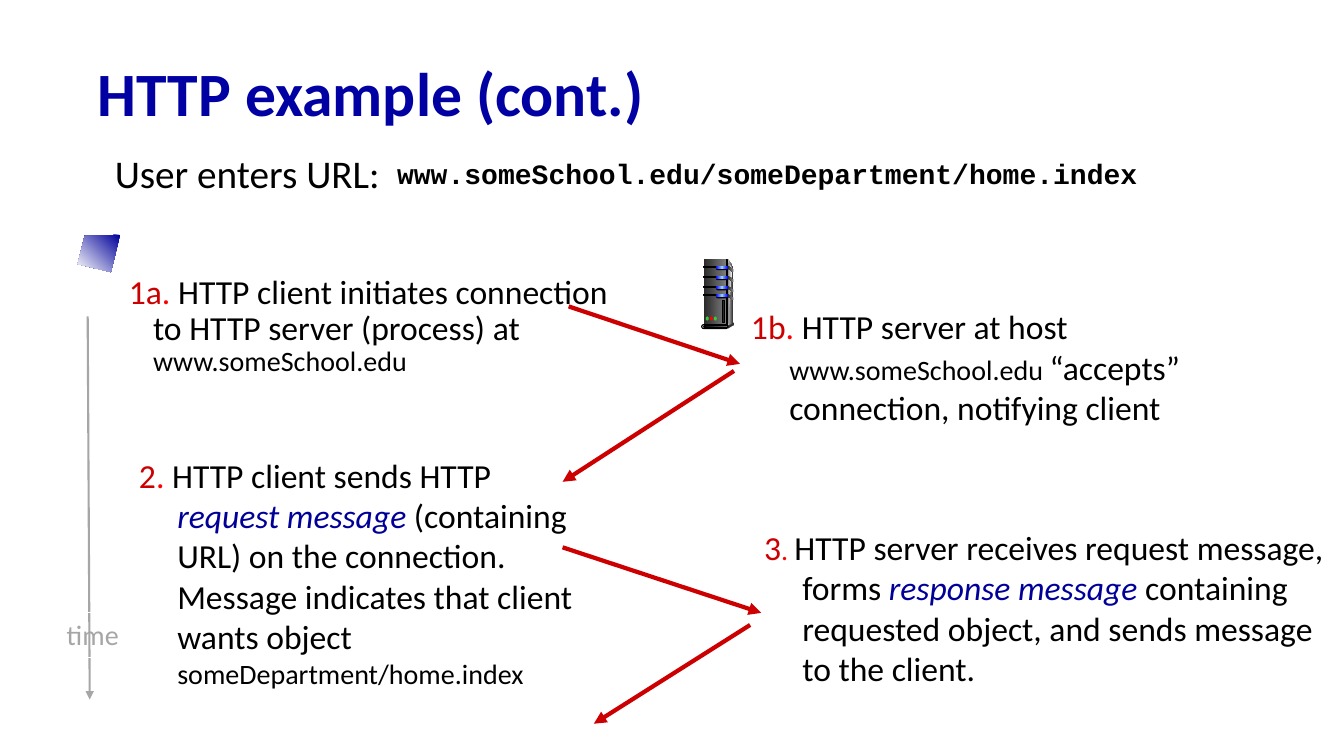
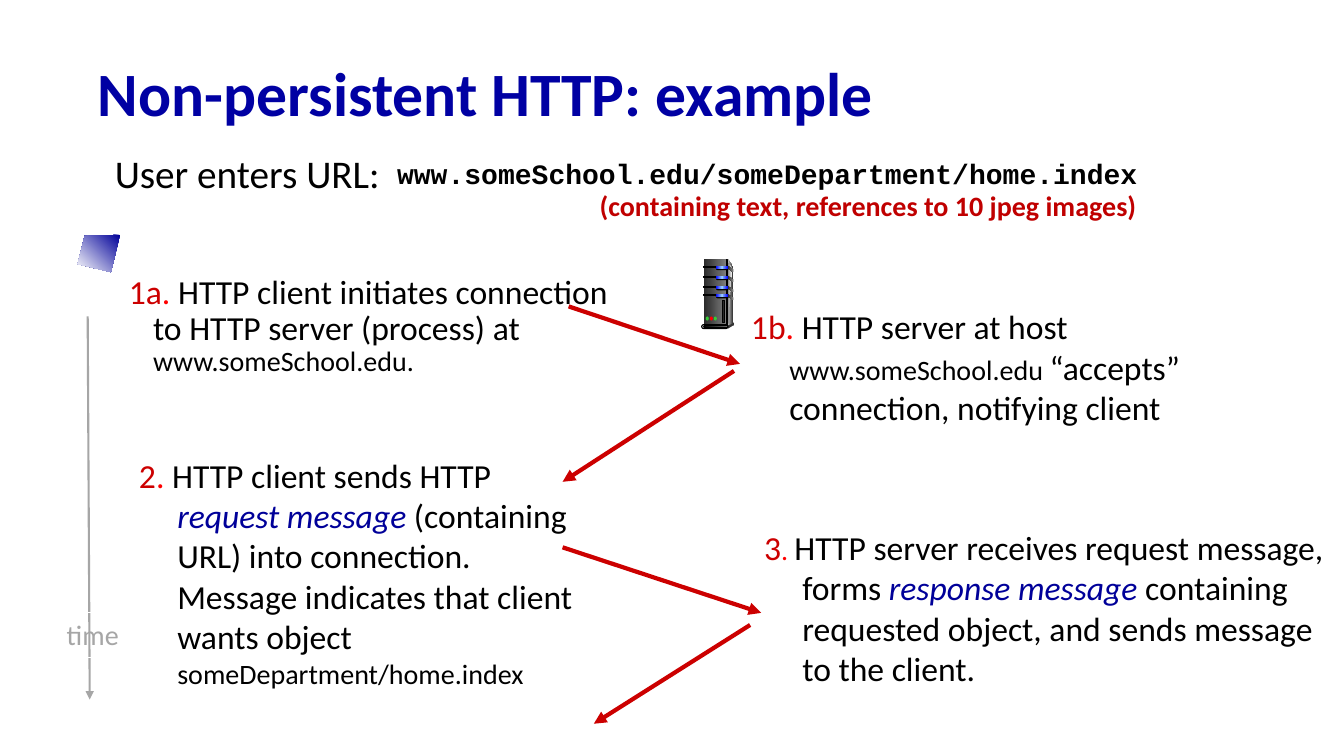
from lxml.etree import SubElement as Sub
from pptx import Presentation
from pptx.dml.color import RGBColor as Rgb
from pptx.enum.shapes import MSO_CONNECTOR as Link, MSO_SHAPE as Form
from pptx.enum.text import MSO_ANCHOR as Anchor, MSO_AUTO_SIZE as Auto, PP_ALIGN as Align
from pptx.oxml.ns import qn
from pptx.util import Pt

PX = 9144
HUES = {
    "title": "0000A3", "blue": "000099", "red": "CC0000", "dot": "FF0000",
    "note": "C00000", "gray": "A6A6A6", "black": "000000", "white": "FFFFFF",
    "coal": "292929", "dark": "333333", "mid": "808080", "light": "DDDDDD",
    "pale": "F8F8F8", "lamp": "0000FF", "glow": "99CCFF", "green": "33CC33",
}
BODY = {"name": "Calibri", "size": Pt(24)}
SMALL = {"size": Pt(20)}
LOOKS = {
    "title": ("title", {"size": Pt(44), "bold": True}),
    "lead": ("black", {"size": Pt(28)}),
    "url": ("black", {"name": "Courier New", "size": Pt(20), "bold": True}),
    "note": ("note", {"size": Pt(20), "bold": True}),
    "time": ("gray", SMALL),
    "num": ("red", {}),
    "dot": ("dot", {}),
    "tiny": ("dot", SMALL),
    "text": ("black", {}),
    "host": ("black", SMALL),
    "term": ("blue", {"italic": True}),
}
HANG = (38, -38)
LEAD = (39, -24)
STEEL = ("coal", "mid")


def tone(hue):
    return Rgb.from_string(HUES[hue])


class Deck:
    def __init__(self):
        self.prs = Presentation()
        self.prs.slide_width, self.prs.slide_height = 1333 * PX, 750 * PX

    def open(self, title):
        slide = self.prs.slides.add_slide(self.prs.slide_layouts[5])
        self.page = self.pen = slide.shapes
        head = self.page.title
        head.left, head.top, head.width, head.height = (v * PX for v in (87, 47, 1150, 98))
        self.fill(head.text_frame, [("title", title)], space=0.9, anchor=Anchor.MIDDLE)

    def fill(self, frame, runs, hang=None, space=1.0, align=Align.LEFT,
             anchor=Anchor.TOP, wrap=True, auto=Auto.NONE):
        form = {"word_wrap": wrap, "auto_size": auto, "vertical_anchor": anchor}
        for key, val in form.items():
            setattr(frame, key, val)
        para = frame.paragraphs[0]
        para.alignment, para.line_spacing = align, space
        if hang:
            props = para._p.get_or_add_pPr()
            for key, val in zip(("marL", "indent"), hang):
                props.set(key, str(val * PX))
        for look, text in runs:
            run = para.add_run()
            run.text = text
            hue, form = LOOKS[look]
            for key, val in {**BODY, **form}.items():
                setattr(run.font, key, val)
            run.font.color.rgb = tone(hue)

    def text(self, box, runs, edge=None, **form):
        item = self.pen.add_textbox(*(v * PX for v in box))
        self.fill(item.text_frame, runs, **form)
        if edge:
            item.line.color.rgb = tone(edge)
            item.line.width = Pt(0.75)

    def arrow(self, start, end, hue="red", width=3):
        line = self.pen.add_connector(Link.STRAIGHT, *(v * PX for v in start + end))
        line.line.color.rgb = tone(hue)
        line.line.width = Pt(width)
        props = line._element.spPr
        Sub(props.find(qn("a:ln")), qn("a:tailEnd")).set("type", "triangle")
        Sub(props, qn("a:effectLst"))

    def paint(self, item, fill, edge=None, angle=0):
        item.shadow.inherit = False
        if isinstance(fill, str):
            item.fill.solid()
            item.fill.fore_color.rgb = tone(fill)
        else:
            self.blend(item, fill, angle)
        if edge:
            item.line.color.rgb = tone(edge)
            item.line.width = Pt(0.75)
        else:
            item.line.fill.background()

    def blend(self, item, hues, angle):
        item.fill.background()
        old = item._element.spPr.find(qn("a:noFill"))
        grad = old.makeelement(qn("a:gradFill"), {"rotWithShape": "1"})
        stops = Sub(grad, qn("a:gsLst"))
        for i, hue in enumerate(hues):
            stop = Sub(stops, qn("a:gs"), pos=str(100000 * i // (len(hues) - 1)))
            Sub(stop, qn("a:srgbClr"), val=HUES[hue])
        Sub(grad, qn("a:lin"), ang=str(angle * 60000), scaled="0")
        old.getparent().replace(old, grad)

    def shape(self, kind, box, fill, edge=None):
        item = self.pen.add_shape(kind, *(v * PX for v in box))
        if kind == Form.ROUNDED_RECTANGLE:
            item.adjustments[0] = 0.5
        self.paint(item, fill, edge)

    def poly(self, dots, fill, angle=0):
        path = self.pen.build_freeform(*dots[0], scale=PX)
        path.add_line_segments(dots[1:], close=True)
        self.paint(path.convert_to_shape(), fill, angle=angle)

    def server(self):
        self.pen = self.page.add_group_shape().shapes
        rect, pill, oval = Form.RECTANGLE, Form.ROUNDED_RECTANGLE, Form.OVAL
        self.poly([(722, 257), (727, 265), (727, 321), (721, 324)], ("light", "dark"))
        self.shape(rect, (698, 257, 23, 67), STEEL)
        self.poly([(722, 261), (726, 266), (724, 290), (722, 322)], ("mid", "pale"))
        self.shape(rect, (721, 257, 1, 67), ("dark", "light", "dark"), "black")
        for y in (264, 274, 284, 292):
            self.shape(rect, (698, y, 13, 1), "black", "black")
            self.shape(pill, (710, y, 13, 4), "black")
            self.shape(pill, (710, y, 12, 3), ("lamp", "glow", "lamp"))
            self.poly([(722, y), (727, y + 3), (727, y + 6), (722, y + 2)], STEEL)
        self.shape(oval, (727, 320, 1, 3), "dark")
        self.poly([(722, 323), (722, 326), (727, 323), (727, 321)], "dark")
        self.shape(pill, (696, 322, 26, 4), "light", "black")
        self.shape(pill, (698, 323, 24, 2), ("black", "mid"), "black")
        for x, hue in ((700, "green"), (704, "dot"), (708, "green")):
            self.shape(oval, (x, 314, 3, 4), hue)
        self.shape(rect, (717, 298, 2, 22), "coal", "black")
        self.pen = self.page

    def build(self, title, host, verb, note=None):
        self.open(title)
        self.arrow((87, 314), (89, 694), "gray", 1.5)
        self.text((89, 148, 869, 51), [("lead", "User enters URL:")], hang=LEAD, space=0.9)
        self.text((103, 268, 530, 208), [
            ("num", "1a"), ("dot", "."),
            ("text", " HTTP client initiates connection to HTTP server (process) at "),
            ("host", host)], hang=LEAD, space=0.9)
        self.text((128, 446, 461, 118), [
            ("num", "2"), ("dot", "."), ("text", " HTTP client sends HTTP "),
            ("term", "request message"),
            ("text", f" (containing URL) {verb} connection. "
                     "Message indicates that client wants object "),
            ("host", "someDepartment/home.index")], hang=HANG)
        self.text((735, 299, 589, 165), [
            ("num", "1b"), ("dot", "."), ("text", " HTTP server at host "),
            ("host", "www.someSchool.edu "),
            ("text", "“accepts” connection, notifying client")], hang=HANG)
        self.text((748, 518, 590, 197), [
            ("num", "3"), ("tiny", ". "),
            ("text", "HTTP server receives request message, forms "),
            ("term", "response message"),
            ("text", " containing requested object, and sends message to the client.")],
            hang=HANG)
        self.text((55, 608, 74, 44), [("time", "time")], "white",
                  align=Align.CENTER, wrap=False, auto=Auto.SHAPE_TO_FIT_TEXT)
        for start, end in (((558, 543), (755, 608)), ((744, 620), (589, 718)),
                           ((564, 304), (734, 361)), ((728, 368), (558, 478))):
            self.arrow(start, end)
        if note:
            self.text((512, 182, 698, 44), [("note", note)], align=Align.CENTER)
        self.text((384, 155, 869, 51),
                  [("url", "www.someSchool.edu/someDepartment/home.index")],
                  hang=HANG, space=0.85)
        self.poly([(119, 233), (84, 234), (77, 262), (110, 270)], ("blue", "white"), 135)
        self.server()


def main():
    deck = Deck()
    deck.build("HTTP example (cont.)", "www.someSchool.edu", "on the")
    deck.build("Non-persistent HTTP: example", "www.someSchool.edu.", "into",
               "(containing text, references to 10 jpeg images)")
    deck.prs.save("out.pptx")


if __name__ == "__main__":
    main()
